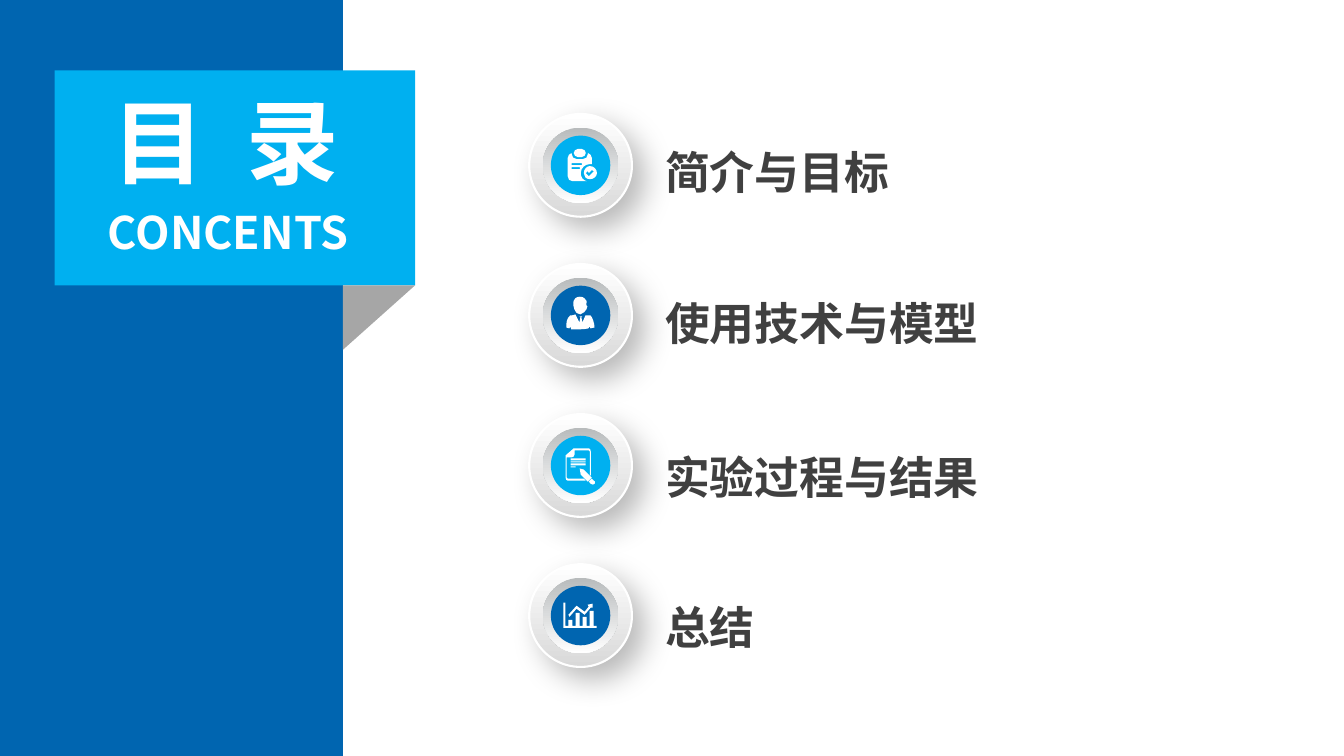
import pptx
import pptx.dml.color
import pptx.enum.shapes
import pptx.enum.text
import pptx.oxml
import pptx.oxml.ns
import pptx.util
from lxml import etree

Pt = pptx.util.Pt
Kind = pptx.enum.shapes.MSO_SHAPE
qn = pptx.oxml.ns.qn
BLUE, SKY, WHITE, GREY = "0065B0", "00B0F0", "FFFFFF", "404040"


def paint(shape, *hues):
    """Fill a shape with one colour, or two from top to bottom; no line or shadow."""
    shape.shadow.inherit = False
    shape.line.fill.background()
    tones = [pptx.dml.color.RGBColor.from_string(h) for h in hues]
    if len(tones) == 1:
        shape.fill.solid()
        shape.fill.fore_color.rgb = tones[0]
    else:
        shape.fill.gradient()
        shape.fill.gradient_angle = 270
        for stop, tone in zip(shape.fill.gradient_stops, tones):
            stop.color.rgb = tone


def write(box, text, size, hue, face):
    """Put one bold, unwrapped line of text into a box and return its font."""
    frame = box.text_frame
    frame.text = text
    frame.word_wrap = False
    frame.auto_size = pptx.enum.text.MSO_AUTO_SIZE.NONE
    frame.vertical_anchor = pptx.enum.text.MSO_ANCHOR.TOP
    line = frame.paragraphs[0]
    line.alignment = pptx.enum.text.PP_ALIGN.LEFT
    font = line.font
    font.size, font.bold, font.name = Pt(size), True, face
    font.color.rgb = pptx.dml.color.RGBColor.from_string(hue)
    etree.SubElement(font._rPr, qn("a:ea"), typeface=face)
    return font


deck = pptx.Presentation()
deck.slide_width, deck.slide_height = Pt(960), Pt(540)
slide = deck.slides.add_slide(deck.slide_layouts[5])
shapes = slide.shapes

# Side band, title card and its folded corner
for kind, x, y, w, h, hue in [
    (Kind.RECTANGLE, 0, 0, 245, 540, BLUE),
    (Kind.RECTANGLE, 39, 50.2, 257.5, 153.6, SKY),
    (Kind.ISOSCELES_TRIANGLE, 245, 203.8, 51.5, 46, "A6A6A6"),
]:
    part = shapes.add_shape(kind, Pt(x), Pt(y), Pt(w), Pt(h))
    paint(part, hue)
part.adjustments[0] = 1
part.rotation = 180

title = shapes.title
title.left, title.top, title.width, title.height = Pt(73.5), Pt(57), Pt(187), Pt(87)
font = write(title, "目 录", 66, WHITE, "Noto Sans CJK TC")
font._rPr.set("spc", "740")
shapes._spTree.append(title._element)
label = shapes.add_textbox(Pt(70), Pt(142.5), Pt(194), Pt(46))
write(label, "CONCENTS", 32, WHITE, "Noto Sans CJK TC")

# Icon outlines, in hundredths of an inch from the icon's corner
clip = """M 18 4 C 18 6 16 8 14 8 L 10 8 C 8 8 6 6 6 4 C 6 2 8 0 10 0 L 14 0
C 16 0 18 2 18 4 Z M 20 4 L 20 5 C 20 8 18 10 15 10 L 9 10 C 6 10 4 8 4 5 L 4 4
C 2 4 0 7 0 9 L 0 27 C 0 30 2 32 5 32 L 19 32 C 15 31 13 28 13 24
C 13 19 17 15 22 15 L 24 15 L 24 9 C 24 7 22 4 20 4 Z
M 4 20 L 12 20 L 12 18 L 4 18 Z M 4 16 L 14 16 L 14 14 L 4 14 Z
M 22 17 C 19 17 16 20 16 24 C 16 27 18 30 22 30 C 26 30 29 27 29 24
C 29 20 26 17 22 17 Z M 18 24 L 20 22 L 21 24 L 24 21 L 26 22 L 21 27 Z"""
man = """M 4 19 C 6 19 8 19 9 18 L 13 26 L 14 21 L 13 20 L 16 20 L 15 21 L 16 26
L 19 19 C 22 19 23 19 24 19 C 26 21 28 27 28 31 L 24 32 L 23 30 L 22 32
C 17 33 10 33 5 33 L 4 30 L 3 32 L 0 31 C 0 27 0 22 4 19 Z
M 8 13 L 7 9 C 7 5 7 4 9 2 C 11 0 16 0 18 2 C 20 3 21 6 20 9 L 21 10 L 20 13
C 19 15 17 17 14 18 C 10 17 9 16 8 13 Z"""
note = """M 1 9 L 6 9 C 7 9 9 8 9 6 L 9 2 L 23 2 L 24 3 L 24 26 L 25 27 L 25 3
C 25 1 24 0 23 0 L 8 0 L 0 7 L 0 29 C 0 31 1 32 2 32 L 20 32 L 18 30 L 2 30
L 1 29 Z M 5 10 L 20 10 L 20 12 L 5 12 Z M 5 13 L 20 13 L 20 14 L 5 14 Z
M 5 15 L 20 15 L 20 17 L 5 17 Z M 5 18 L 10 18 L 10 19 L 5 19 Z
M 14 20 L 18 21 L 26 29 L 22 33 L 15 26 Z
M 23 33 L 26 30 L 29 33 C 30 34 29 36 27 36 C 25 36 24 34 23 33 Z"""
chart = """M 13 6 L 6 14 L 5 12 L 13 3 L 21 9 L 25 4 L 24 2 L 29 1 L 29 5 L 27 5
L 21 12 Z M 0 0 L 2 0 L 2 23 L 5 23 L 5 17 L 9 17 L 9 23 L 12 23 L 12 10 L 16 10
L 16 23 L 19 23 L 19 14 L 23 14 L 23 23 L 26 23 L 26 8 L 30 8 L 30 23 L 33 23
L 33 25 L 0 25 Z"""
steps = {"M": ("a:moveTo", 1), "L": ("a:lnTo", 1),
         "C": ("a:cubicBezTo", 3), "Z": ("a:close", 0)}

# Text, its top and width; disc colour; icon with its left, drop, width, height
items = [
    ("简介与目标", 100, 176, SKY, clip, 405.5, 25, 29, 32),
    ("使用技术与模型", 207.5, 240, BLUE, man, 404.5, 23, 28, 33),
    ("实验过程与结果", 317.5, 240, SKY, note, 404, 24.5, 29, 36),
    ("总结", 425, 79, BLUE, chart, 402.5, 27.5, 33, 25),
]
for i, (text, y, wide, hue, icon, x, drop, w, h) in enumerate(items):
    top = 81.4 + 107.2 * i
    box = shapes.add_textbox(Pt(468), Pt(y), Pt(wide), Pt(46))
    write(box, text, 32, GREY, "Noto Sans CJK SC")

    # Three nested rounds share one centre
    rounds = []
    for kind, size, tones in [
        (Kind.OVAL, 73.4, (WHITE, "D9D9D9")),
        (Kind.ROUNDED_RECTANGLE, 54, ("B8BBBC", WHITE)),
        (Kind.OVAL, 42.5, (hue,)),
    ]:
        gap = (73.4 - size) / 2
        disc = shapes.add_shape(kind, Pt(378 + gap), Pt(top + gap), Pt(size), Pt(size))
        paint(disc, *tones)
        rounds.append(disc)
    rim, ring, _ = rounds
    ring.adjustments[0] = 0.5
    rim.line.width = Pt(1.5)
    rim.line.color.rgb = pptx.dml.color.RGBColor.from_string(WHITE)
    glow = etree.SubElement(rim._element.spPr.find(qn("a:effectLst")), qn("a:outerShdw"),
                            blurRad=str(Pt(22)), dist=str(Pt(12)), dir="2700000",
                            algn="tl", rotWithShape="0")
    shade = etree.SubElement(glow, qn("a:srgbClr"), val="000000")
    etree.SubElement(shade, qn("a:alpha"), val="28000")

    # The frame sets the size; the outline then takes its place
    frame = shapes.build_freeform(0, 0, scale=Pt(0.72))
    frame.add_line_segments([(w, 0), (w, h), (0, h)])
    sign = frame.convert_to_shape(Pt(x), Pt(top + drop))
    paint(sign, WHITE)
    geom = next(sign._element.iter(qn("a:path")))
    for node in list(geom):
        geom.remove(node)
    words = iter(icon.split())
    for key in words:
        tag, count = steps[key]
        step = etree.SubElement(geom, qn(tag))
        for _ in range(count):
            etree.SubElement(step, qn("a:pt"), x=next(words), y=next(words))

deck.save("out.pptx")
